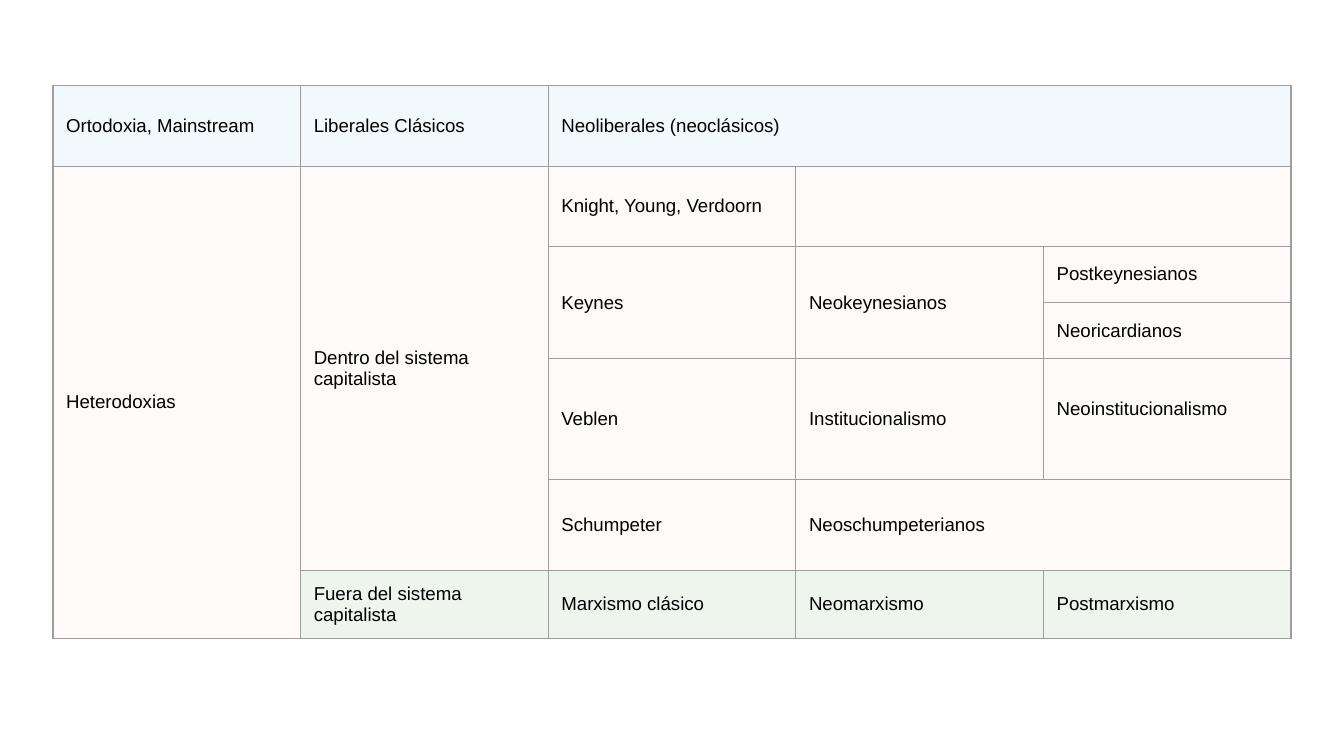
from lxml import etree
from pptx import Presentation
from pptx.dml import color
from pptx.enum import text
from pptx.oxml import ns
from pptx.util import Cm, Pt

COLORS = {"orthodox": "0091EA", "capitalist": "FF0000", "outside": "3B963A",
          "border": "9E9E9E", "text": "000000"}
OPACITY = {"orthodox": 5, "capitalist": 2, "outside": 9}
ROW_HEIGHTS = [1.52, 1.52, 1.06, 1.06, 2.29, 1.71, 1.29]
COLUMN_WIDTH = 4.68
SCHOOLS = [
    ["Ortodoxia, Mainstream", "Liberales Clásicos", "Neoliberales (neoclásicos)", "", ""],
    ["Heterodoxias", "Dentro del sistema capitalista", "Knight, Young, Verdoorn", "", ""],
    ["", "", "Keynes", "Neokeynesianos", "Postkeynesianos"],
    ["", "", "", "", "Neoricardianos"],
    ["", "", "Veblen", "Institucionalismo", "Neoinstitucionalismo"],
    ["", "", "Schumpeter", "Neoschumpeterianos", ""],
    ["", "Fuera del sistema capitalista", "Marxismo clásico", "Neomarxismo", "Postmarxismo"],
]
MERGES = [((0, 2), (0, 4)), ((1, 0), (6, 0)), ((1, 1), (5, 1)), ((1, 3), (1, 4)),
          ((2, 2), (3, 2)), ((2, 3), (3, 3)), ((5, 3), (5, 4))]


def tag_color(parent, name):
    fill = etree.SubElement(parent, ns.qn("a:solidFill"))
    etree.SubElement(fill, ns.qn("a:srgbClr"), val=COLORS[name])


def set_borders(cell):
    tcPr = cell._tc.get_or_add_tcPr()
    for side in ("L", "R", "T", "B"):
        ln = etree.SubElement(tcPr, ns.qn(f"a:ln{side}"), w=str(Pt(0.75)))
        tag_color(ln, "border")


def set_fill(cell, name):
    cell.fill.solid()
    cell.fill.fore_color.rgb = color.RGBColor.from_string(COLORS[name])
    rgb = cell._tc.tcPr.find(ns.qn("a:solidFill"))[0]
    etree.SubElement(rgb, ns.qn("a:alpha"), val=str(OPACITY[name] * 1000))


def set_text(cell, label):
    cell.vertical_anchor = text.MSO_ANCHOR.MIDDLE
    cell.margin_left = cell.margin_right = Cm(0.25)
    cell.margin_top = cell.margin_bottom = Cm(0.25)
    p = cell.text_frame.paragraphs[0]
    if not label:
        etree.SubElement(p._p, ns.qn("a:endParaRPr"), sz="1000")
        return
    p.text = label
    font = p.runs[0].font
    font.name, font.size = "Arial", Pt(10)
    font.color.rgb = color.RGBColor.from_string(COLORS["text"])


def group_of(row, column):
    if row == 0:
        return "orthodox"
    return "outside" if row == 6 and column > 0 else "capitalist"


def add_schools_table(s):
    rows, columns = len(SCHOOLS), len(SCHOOLS[0])
    frame = s.shapes.add_table(rows, columns, Cm(1), Cm(1.62),
                               Cm(COLUMN_WIDTH * columns), Cm(sum(ROW_HEIGHTS)))
    table = frame.table
    table.first_row = table.horz_banding = False
    for column in table.columns:
        column.width = Cm(COLUMN_WIDTH)
    for row, height in zip(table.rows, ROW_HEIGHTS):
        row.height = Cm(height)
    for i, labels in enumerate(SCHOOLS):
        for j, label in enumerate(labels):
            cell = table.cell(i, j)
            set_borders(cell)
            set_fill(cell, group_of(i, j))
            set_text(cell, label)
    for first, last in MERGES:
        table.cell(*first).merge(table.cell(*last))
    table.cell(4, 4).margin_bottom = Cm(0.65)


def main():
    prs = Presentation()
    prs.slide_width, prs.slide_height = Cm(25.4), Cm(14.29)
    s = prs.slides.add_slide(prs.slide_layouts[6])
    add_schools_table(s)
    prs.save("out.pptx")


if __name__ == "__main__":
    main()
